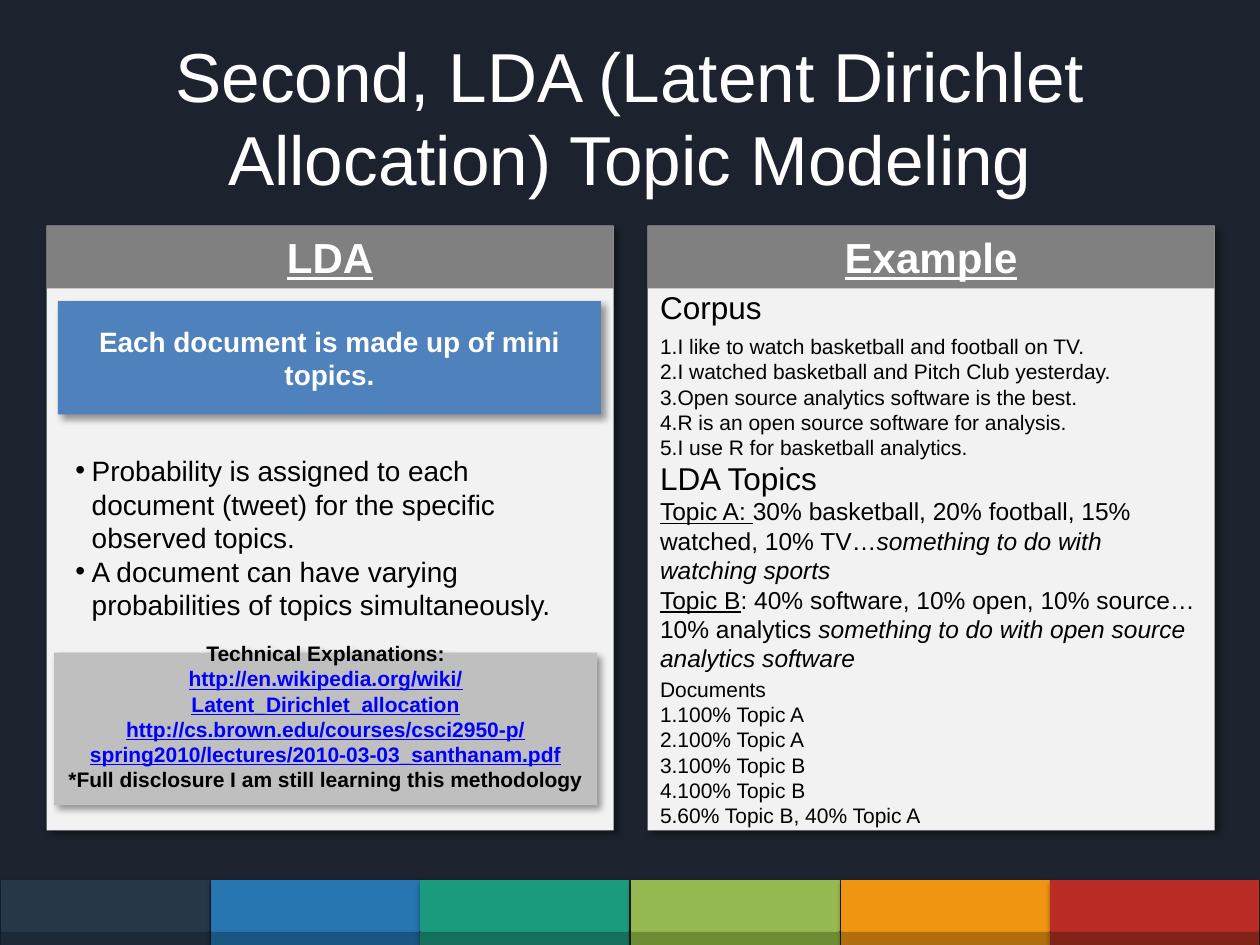
"""Build a slide that explains LDA topic modeling beside a worked example."""
from dataclasses import dataclass
from typing import Optional

from lxml.etree import SubElement
from pptx import Presentation
from pptx.dml.color import RGBColor
from pptx.enum.shapes import MSO_SHAPE
from pptx.enum.text import MSO_ANCHOR, PP_ALIGN
from pptx.oxml.ns import qn
from pptx.util import Inches, Pt

NAVY = RGBColor(0x1C, 0x23, 0x2E)
WHITE = RGBColor(0xFF, 0xFF, 0xFF)
BLACK = RGBColor(0x00, 0x00, 0x00)
PANEL = RGBColor(0xF2, 0xF2, 0xF2)
HEADER = RGBColor(0x80, 0x80, 0x80)
CALLOUT = RGBColor(0x4F, 0x81, 0xBD)
SILVER = RGBColor(0xBF, 0xBF, 0xBF)
LINK = RGBColor(0x00, 0x00, 0xFF)
STRIPES = [
    (RGBColor(0x26, 0x37, 0x48), RGBColor(0x1C, 0x28, 0x35)),
    (RGBColor(0x27, 0x76, 0xB2), RGBColor(0x1A, 0x56, 0x82)),
    (RGBColor(0x1B, 0x9B, 0x7D), RGBColor(0x13, 0x70, 0x5B)),
    (RGBColor(0x96, 0xBA, 0x51), RGBColor(0x6E, 0x8D, 0x33)),
    (RGBColor(0xF0, 0x95, 0x11), RGBColor(0xB1, 0x6E, 0x0C)),
    (RGBColor(0xBA, 0x2D, 0x27), RGBColor(0x81, 0x24, 0x17)),
]
FONT = "Arial"
LEFT_X, RIGHT_X, PANEL_Y, PANEL_W = 0.37, 5.14, 1.79, 4.5


@dataclass(frozen=True)
class Box:
    x: float
    y: float
    w: float
    h: float


@dataclass(frozen=True)
class Shadow:
    alpha: int
    blur: float
    dist: float
    angle: int


@dataclass(frozen=True)
class Run:
    text: str
    color: RGBColor = BLACK
    bold: bool = False
    italic: bool = False
    underline: bool = False


@dataclass(frozen=True)
class Para:
    runs: tuple[Run, ...]
    marker: Optional[str] = None
    indent: float = 0


CARD_SHADOW = Shadow(40, 4, 3, 45)
STRIPE_SHADOW = Shadow(35, 3.1, 1.8, 90)


def line(text: str, **style) -> Para:
    return Para((Run(text, **style),))


def numbered(texts: list[str]) -> list[Para]:
    return [Para((Run(t),), "1.", 0.12) for t in texts]


def add_shadow(sp, shadow: Shadow) -> None:
    effects = sp._element.spPr.find(qn("a:effectLst"))
    outer = SubElement(effects, qn("a:outerShdw"), blurRad=str(Pt(shadow.blur)),
                       dist=str(Pt(shadow.dist)), dir=str(shadow.angle * 60000),
                       algn="t", rotWithShape="0")
    color = SubElement(outer, qn("a:srgbClr"), val=str(BLACK))
    SubElement(color, qn("a:alpha"), val=str(shadow.alpha * 1000))


def add_rect(s, box: Box, fill: RGBColor, shadow: Optional[Shadow] = None,
             outlined: bool = False):
    sp = s.shapes.add_shape(MSO_SHAPE.RECTANGLE, Inches(box.x), Inches(box.y),
                            Inches(box.w), Inches(box.h))
    sp.fill.solid()
    sp.fill.fore_color.rgb = fill
    if outlined:
        sp.line.color.rgb = fill
        sp.line.width = Pt(0.75)
    else:
        sp.line.fill.background()
    sp.shadow.inherit = False
    if shadow:
        add_shadow(sp, shadow)
    return sp


def add_marker(p, marker: str, indent: float) -> None:
    pPr = p._p.get_or_add_pPr()
    pPr.set("marL", str(Inches(indent)))
    pPr.set("indent", str(-Inches(indent)))
    if marker == "1.":
        SubElement(pPr, qn("a:buAutoNum"), type="arabicPeriod")
    else:
        SubElement(pPr, qn("a:buFont"), typeface=FONT)
        SubElement(pPr, qn("a:buChar"), char=marker)


def write(sp, paras: list[Para], size: float, centered: bool = False) -> None:
    tf = sp.text_frame
    tf.vertical_anchor = MSO_ANCHOR.MIDDLE if centered else MSO_ANCHOR.TOP
    for i, para in enumerate(paras):
        p = tf.add_paragraph() if i else tf.paragraphs[0]
        p.alignment = PP_ALIGN.CENTER if centered else PP_ALIGN.LEFT
        if para.marker:
            add_marker(p, para.marker, para.indent)
        for run in para.runs:
            r = p.add_run()
            r.text = run.text
            r.font.name = FONT
            r.font.size = Pt(size)
            r.font.color.rgb = run.color
            r.font.bold = run.bold
            r.font.italic = run.italic
            r.font.underline = run.underline


def add_text(s, box: Box, paras: list[Para], size: float,
             centered: bool = False, wrap: bool = True) -> None:
    sp = s.shapes.add_textbox(Inches(box.x), Inches(box.y), Inches(box.w), Inches(box.h))
    sp.text_frame.word_wrap = wrap
    write(sp, paras, size, centered)


def add_stripes(s) -> None:
    step = 10 / len(STRIPES)
    for i, (top, base) in enumerate(STRIPES):
        x = round(0.01 + i * step, 2)
        add_rect(s, Box(x, 6.99, 1.65, 0.4), top, STRIPE_SHADOW, outlined=True)
        add_rect(s, Box(x, 7.4, 1.65, 0.1), base, STRIPE_SHADOW, outlined=True)


def add_panel(s, x: float, heading: str) -> None:
    add_rect(s, Box(x, PANEL_Y, PANEL_W, 4.8), PANEL, CARD_SHADOW)
    header = add_rect(s, Box(x, PANEL_Y, PANEL_W, 0.5), HEADER)
    write(header, [line(heading, color=WHITE, bold=True, underline=True)], 24, centered=True)


def add_lda(s) -> None:
    bullets = ["Probability is assigned to each document (tweet) for the specific observed topics.",
               "A document can have varying probabilities of topics simultaneously."]
    add_text(s, Box(0.5, 3.55, 4.24, 1.45), [Para((Run(t),), "•", 0.13) for t in bullets], 16)
    callout = add_rect(s, Box(0.46, 2.39, 4.31, 0.9), CALLOUT, CARD_SHADOW)
    write(callout, [line("Each document is made up of mini topics.", color=WHITE, bold=True)],
          16, centered=True)
    sources = add_rect(s, Box(0.43, 5.18, 4.31, 1.21), SILVER, CARD_SHADOW)
    sources.text_frame.margin_bottom = Inches(0.25)
    urls = ["http://en.wikipedia.org/wiki/Latent_Dirichlet_allocation",
            "http://cs.brown.edu/courses/csci2950-p/spring2010/lectures/2010-03-03_santhanam.pdf"]
    write(sources, [line("Technical Explanations:", bold=True),
                    *[line(u, color=LINK, bold=True, underline=True) for u in urls],
                    line("*Full disclosure I am still learning this methodology", bold=True)],
          12, centered=True)


def add_example(s) -> None:
    add_text(s, Box(RIGHT_X, 2.6, 4.48, 1.11), numbered([
        "I like to watch basketball and football on TV.",
        "I watched basketball and Pitch Club yesterday.",
        "Open source analytics software is the best.",
        "R is an open source software for analysis.",
        "I use R for basketball analytics."]), 12)
    add_text(s, Box(RIGHT_X, 3.89, PANEL_W, 1.75), [
        Para((Run("Topic A: ", underline=True),
              Run("30% basketball, 20% football, 15% watched, 10% TV…"),
              Run("something to do with watching sports", italic=True))),
        Para((Run("Topic B", underline=True),
              Run(": 40% software, 10% open, 10% source…10% analytics "),
              Run("something to do with open source analytics software", italic=True)))], 14)
    add_text(s, Box(RIGHT_X, 2.24, 1.02, 0.4), [line("Corpus")], 18, wrap=False)
    add_text(s, Box(RIGHT_X, 3.59, 1.46, 0.4), [line("LDA Topics")], 18, wrap=False)
    add_text(s, Box(RIGHT_X, 5.32, PANEL_W, 1.31), [line("Documents"), *numbered([
        "100% Topic A", "100% Topic A", "100% Topic B", "100% Topic B",
        "60% Topic B, 40% Topic A"])], 12)


def main() -> None:
    prs = Presentation()
    prs.slide_width, prs.slide_height = Inches(10), Inches(7.5)
    s = prs.slides.add_slide(prs.slide_layouts[6])
    s.background.fill.solid()
    s.background.fill.fore_color.rgb = NAVY
    add_stripes(s)
    add_text(s, Box(0.5, 0.3, 9, 1.25), [line(
        "Second, LDA (Latent Dirichlet Allocation) Topic Modeling", color=WHITE)],
        39.6, centered=True)
    add_panel(s, RIGHT_X, "Example")
    add_panel(s, LEFT_X, "LDA")
    add_lda(s)
    add_example(s)
    prs.save("out.pptx")


if __name__ == "__main__":
    main()
